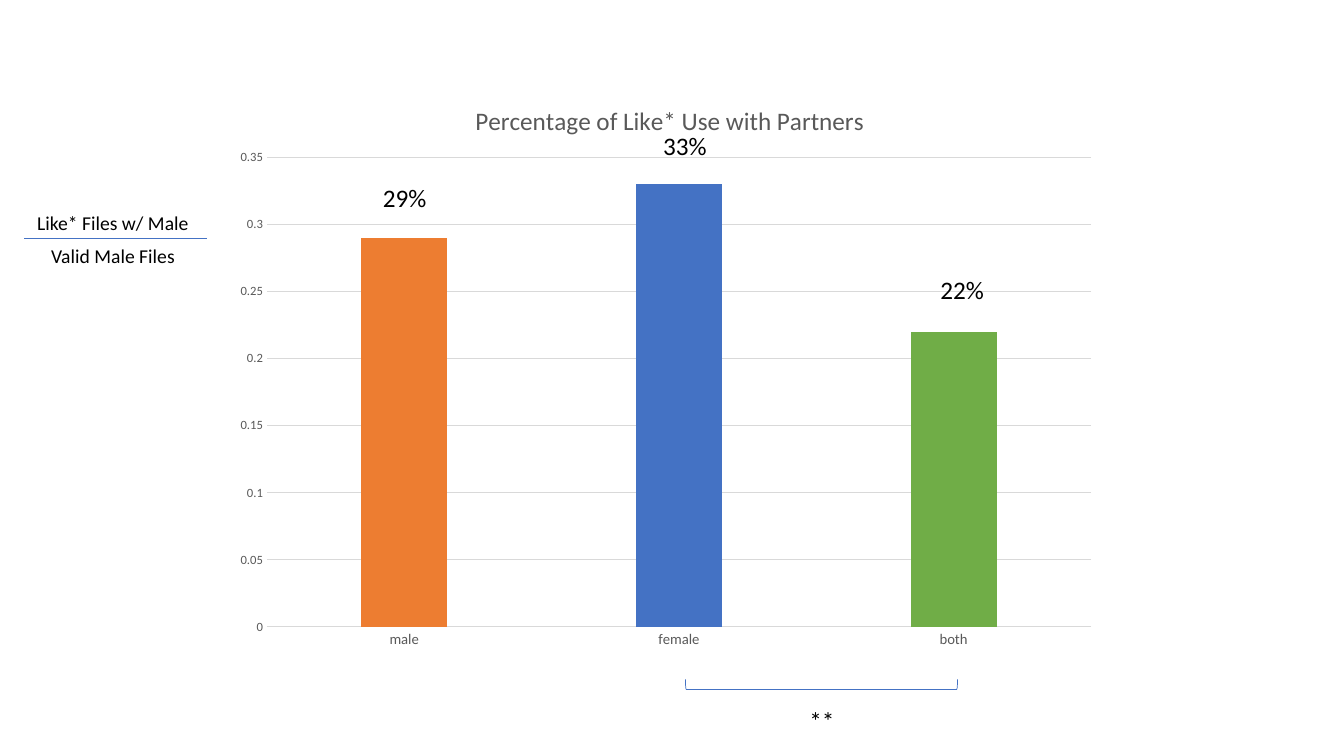
from lxml import etree
from pptx import Presentation
from pptx.chart.data import CategoryChartData
from pptx.dml.color import RGBColor
from pptx.enum.chart import XL_CHART_TYPE as ChartType, XL_TICK_MARK as TickMark
from pptx.enum.shapes import MSO_CONNECTOR as Connector, MSO_SHAPE as Shape
from pptx.enum.text import MSO_AUTO_SIZE as AutoSize, PP_ALIGN as Align
from pptx.oxml.ns import qn
from pptx.util import Pt


def color(hex_string):
    return RGBColor.from_string(hex_string)


def place(parent, index, **settings):
    for layout in parent.findall(qn("c:layout")):
        parent.remove(layout)
    layout = etree.Element(qn("c:layout"))
    manual = etree.SubElement(layout, qn("c:manualLayout"))
    for name, value in settings.items():
        etree.SubElement(manual, qn(f"c:{name}")).set("val", str(value))
    parent.insert(index, layout)


presentation = Presentation()
presentation.slide_width = Pt(960)
presentation.slide_height = Pt(540)
slide = presentation.slides.add_slide(presentation.slide_layouts[6])

data = CategoryChartData(number_format="General")
data.categories = ["male", "female", "both"]
data.add_series("Series 1", [0.29, 0.33, 0.22])
chart = slide.shapes.add_chart(
    ChartType.COLUMN_CLUSTERED, Pt(159), Pt(54), Pt(633), Pt(419), data
).chart
chart.has_legend = False
chart.font.name = "Calibri"
chart.font.size = Pt(10)

chart.has_title = True
chart.chart_title.include_in_layout = False
title = chart.chart_title.text_frame.paragraphs[0]
title.text = "Percentage of Like* Use with Partners"
title.font.name = "Calibri"
title.font.size = Pt(18)
title.font.bold = False
title.font.color.rgb = color("595959")
place(chart.chart_title.element, 1, xMode="edge", yMode="edge", x=0.28, y=0.04)
place(
    chart.element.find(".//" + qn("c:plotArea")), 0, layoutTarget="inner",
    xMode="edge", yMode="edge", x=0.05, y=0.14, w=0.93, h=0.8,
)

plot = chart.plots[0]
plot.gap_width = 219
plot.overlap = -27
plot.vary_by_categories = False
series = plot.series[0]
for index, fill_color in enumerate(["ED7D31", "4472C4", "70AD47"]):
    fill = series.points[index].format.fill
    fill.solid()
    fill.fore_color.rgb = color(fill_color)

category_axis, value_axis = chart.category_axis, chart.value_axis
for axis, size in [(category_axis, 10.5), (value_axis, 9)]:
    axis.major_tick_mark = axis.minor_tick_mark = TickMark.NONE
    font = axis.tick_labels.font
    font.name = "Calibri"
    font.size = Pt(size)
    font.color.rgb = color("595959")
value_axis.minimum_scale = 0
value_axis.maximum_scale = 0.35
value_axis.major_unit = 0.05
value_axis.format.line.fill.background()
for line in [category_axis.format.line, value_axis.major_gridlines.format.line]:
    line.color.rgb = color("D9D9D9")
    line.width = Pt(0.75)

bracket = slide.shapes.add_shape(
    Shape.LEFT_BRACKET, Pt(583.2), Pt(391.7), Pt(7.2), Pt(194.4)
)
bracket.rotation = 270
bracket.shadow.inherit = False
bracket.fill.background()
bracket.line.color.rgb = color("4472C4")
bracket.line.width = Pt(0.5)

labels = [
    ("29%", 266.4, 126.7, 46, 29, 18),
    ("33%", 466.6, 89.3, 46, 29, 18),
    ("22%", 664.6, 192.2, 46, 29, 18),
    ("**", 571, 500.4, 32.4, 29, 18),
    ("Like* Files w/ Male", 19.4, 146.9, 123.8, 24.5, 14),
    ("Valid Male Files", 29.5, 170.6, 103.7, 24.5, 14),
]
for text, left, top, width, height, size in labels:
    frame = slide.shapes.add_textbox(Pt(left), Pt(top), Pt(width), Pt(height)).text_frame
    frame.word_wrap = False
    frame.auto_size = AutoSize.SHAPE_TO_FIT_TEXT
    paragraph = frame.paragraphs[0]
    paragraph.text = text
    paragraph.alignment = Align.LEFT
    paragraph.font.name = "Calibri"
    paragraph.font.size = Pt(size)
    paragraph.font.color.rgb = color("000000")

fraction_bar = slide.shapes.add_connector(
    Connector.STRAIGHT, Pt(17.3), Pt(170.6), Pt(147.6), Pt(170.6)
)
fraction_bar.line.color.rgb = color("4472C4")
fraction_bar.line.width = Pt(0.5)
etree.SubElement(fraction_bar.element.spPr, qn("a:effectLst"))

presentation.save("out.pptx")
